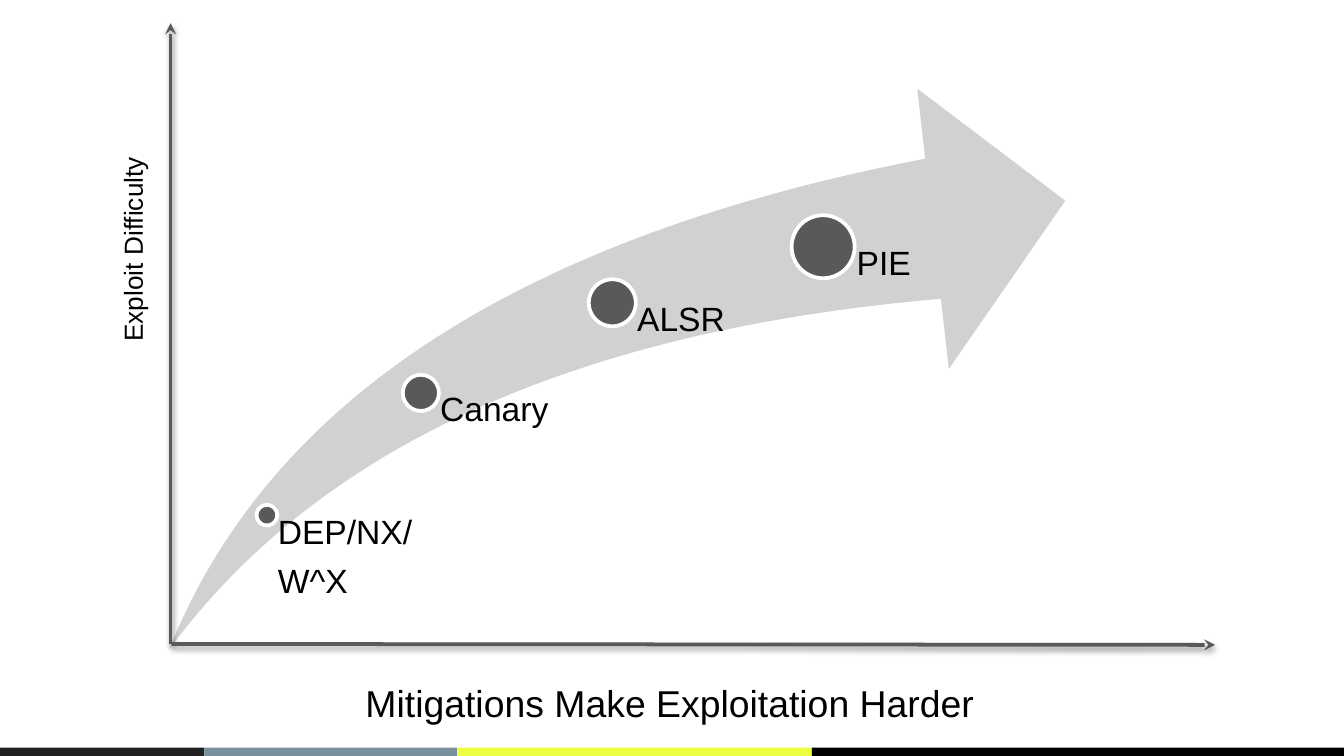
from itertools import pairwise

from lxml import etree
from pptx import Presentation
from pptx.dml.color import RGBColor
from pptx.enum import shapes, text
from pptx.oxml import ns
from pptx.util import Pt

COLOURS = {
    "ink": "000000",
    "charcoal": "212121",
    "slate": "78909C",
    "yellow": "EEFF41",
    "grey": "595959",
    "swoosh": "D1D1D1",
    "white": "FFFFFF",
}
WIDTH, HEIGHT = 720, 405
CURVE_BOTTOM = 347.8

# label lines, dot centre x and y, dot diameter, label width
MITIGATIONS = [
    (["DEP/NX/", "W^X"], 143, 276, 11, 82),
    (["Canary"], 225.5, 210.5, 19.4, 101),
    (["ALSR"], 328, 162.2, 25.2, 101),
    (["PIE"], 441, 132.2, 33.8, 101),
]


def colour(name):
    return RGBColor.from_string(COLOURS[name])


def write(frame, lines, size, margins=(7.2, 3.6, 7.2, 3.6), wrap=True, fit=False,
          line_spacing=None, space_after=0):
    """Fill a text frame, one paragraph per line; margins run left, top, right, bottom."""
    frame.margin_left, frame.margin_top, frame.margin_right, frame.margin_bottom = map(Pt, margins)
    frame.auto_size = text.MSO_AUTO_SIZE.SHAPE_TO_FIT_TEXT if fit else text.MSO_AUTO_SIZE.NONE
    frame.word_wrap = wrap
    frame.vertical_anchor = text.MSO_ANCHOR.TOP
    for index, line in enumerate(lines):
        para = frame.add_paragraph() if index else frame.paragraphs[0]
        para.alignment = text.PP_ALIGN.LEFT
        para.line_spacing = line_spacing
        para.space_after = Pt(space_after)
        span = para.add_run()
        span.text = line
        span.font.name = "Arial"
        span.font.size = Pt(size)
        span.font.color.rgb = colour("ink")


class Painter:
    """Holds the current page and draws each kind of element on it, in points."""

    def __init__(self, page):
        self.page = page

    def title(self, line, left, top, width, height):
        box = self.page.shapes.title
        box.left, box.top, box.width, box.height = map(Pt, (left, top, width, height))
        write(box.text_frame, [line], 20, wrap=False, fit=True)

    def shape(self, kind, left, top, width, height, fill, outline=None):
        shape = self.page.shapes.add_shape(kind, *map(Pt, (left, top, width, height)))
        shape.shadow.inherit = False
        shape.fill.solid()
        shape.fill.fore_color.rgb = colour(fill)
        if outline:
            shape.line.color.rgb = colour(outline)
            shape.line.width = Pt(2)
        else:
            shape.line.fill.background()
        return shape

    def label(self, lines, left, top, width, height, size, vertical=False, **style):
        box = self.page.shapes.add_textbox(*map(Pt, (left, top, width, height)))
        write(box.text_frame, lines, size, **style)
        if vertical:
            box.element.txBody.find(ns.qn("a:bodyPr")).set("vert", "vert270")

    def axis(self, start_x, start_y, end_x, end_y):
        """Draw a line with an arrowhead at its end and a soft shadow below."""
        line = self.page.shapes.add_connector(
            shapes.MSO_CONNECTOR.STRAIGHT, *map(Pt, (start_x, start_y, end_x, end_y)))
        line.line.color.rgb = colour("grey")
        line.line.width = Pt(2)
        properties = line.element.spPr
        head = etree.SubElement(properties.find(ns.qn("a:ln")), ns.qn("a:tailEnd"))
        head.set("type", "stealth")
        effects = etree.SubElement(properties, ns.qn("a:effectLst"))
        shadow = etree.SubElement(effects, ns.qn("a:outerShdw"), blurRad=str(Pt(3.1)),
                                  dist=str(Pt(1.6)), dir="5400000", rotWithShape="0")
        tint = etree.SubElement(shadow, ns.qn("a:srgbClr"), val=COLOURS["ink"])
        etree.SubElement(tint, ns.qn("a:alpha"), val="38000")

    def mitigation(self, lines, x, y, diameter, width):
        """Draw a dot on the curve and its label, which starts at the dot's centre."""
        radius = diameter / 2
        self.shape(shapes.MSO_SHAPE.OVAL, x - radius, y - radius, diameter, diameter,
                   "grey", outline="white")
        self.label(lines, x, y, width, CURVE_BOTTOM - y, 18,
                   margins=(0.53 * diameter, 0, 0, 0), line_spacing=0.9, space_after=7)


def main():
    deck = Presentation()
    deck.slide_width, deck.slide_height = Pt(WIDTH), Pt(HEIGHT)
    page = deck.slides.add_slide(deck.slide_layouts.get_by_name("Title Only"))
    painter = Painter(page)

    edges = pairwise([0, 109.5, 245, 435, WIDTH])
    for (left, right), fill in zip(edges, ["charcoal", "slate", "yellow", "ink"]):
        painter.shape(shapes.MSO_SHAPE.RECTANGLE, left, 400.5, right - left, 4.5, fill)

    swoosh = painter.shape(shapes.MSO_SHAPE.SWOOSH_ARROW, 90.7, 47.5, 480, 300.3, "swoosh")
    swoosh.adjustments[0] = swoosh.adjustments[1] = 0.25
    for mitigation in MITIGATIONS:
        painter.mitigation(*mitigation)

    painter.axis(91.4, 345, 91.4, 12.5)
    painter.axis(92, 345, 651, 345.5)
    painter.label(["Exploit Difficulty"], 59, 82.8, 31.7, 107.3, 14,
                  vertical=True, wrap=False, fit=True)
    painter.title("Mitigations Make Exploitation Harder", 188.6, 360.7, 343.4, 31.7)

    deck.save("out.pptx")


if __name__ == "__main__":
    main()
